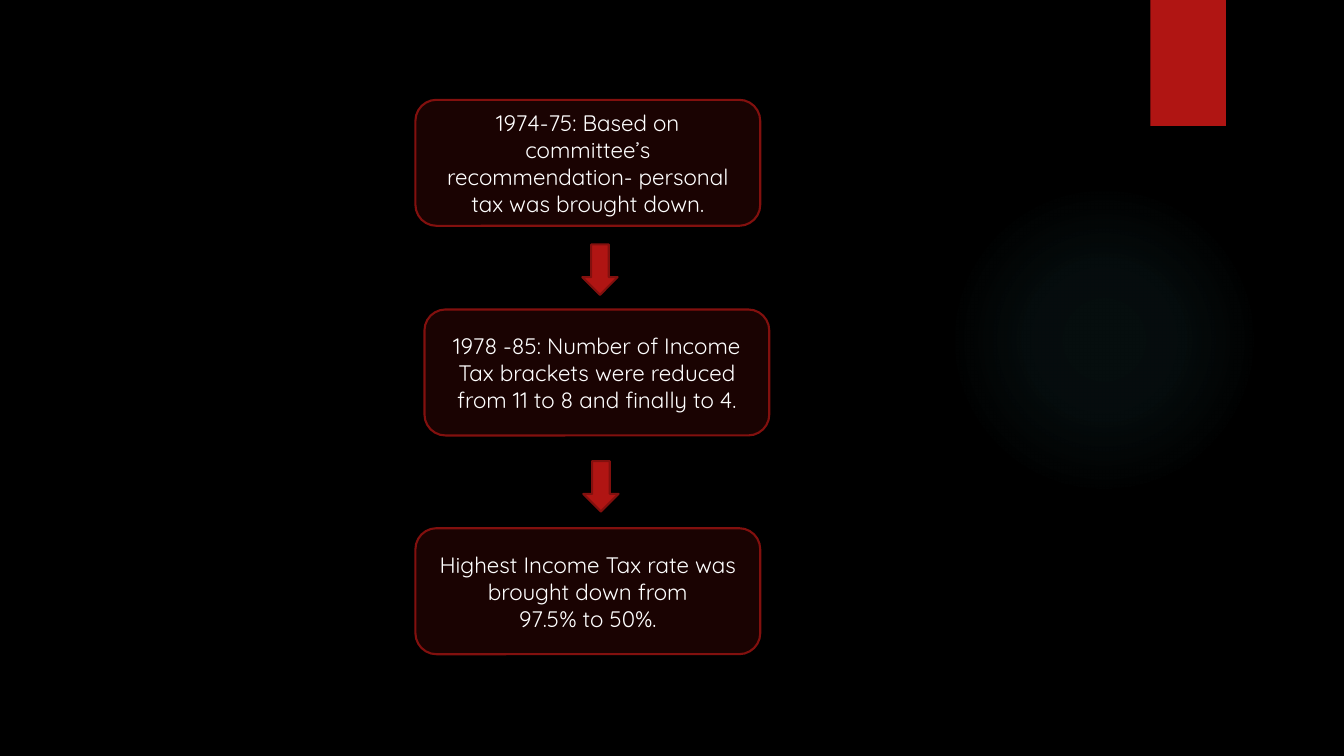
from dataclasses import dataclass

from lxml import etree
from pptx import Presentation
from pptx.dml.color import RGBColor
from pptx.enum.shapes import MSO_SHAPE
from pptx.enum.text import MSO_ANCHOR, PP_ALIGN
from pptx.oxml import parse_xml
from pptx.oxml.ns import nsdecls, qn
from pptx.util import Inches, Pt

ELLIPSE = MSO_SHAPE.OVAL
RECTANGLE = MSO_SHAPE.RECTANGLE
ROUNDED = MSO_SHAPE.ROUNDED_RECTANGLE
ARROW = MSO_SHAPE.RIGHT_ARROW
MIDDLE = MSO_ANCHOR.MIDDLE
CENTER = PP_ALIGN.CENTER

COLOURS = {
    "background": "000000",
    "glow": "50B9C1",
    "red": "B01513",
    "outline": "82100E",
    "text": "FFFFFF",
}
BLANK_LAYOUT = 6
STEP_WIDTH, STEP_HEIGHT = 3.42, 1.25
ARROW_LENGTH, ARROW_BREADTH = 0.5, 0.35
STEP_OPACITY = 15
GLOW_STOPS = ((0, 7), (36, 6), (69, 0))
TEXT_FORMAT = {"name": "Quicksand", "size": Pt(16)}


@dataclass
class Step:
    left: float
    top: float
    lines: tuple[str, ...]


@dataclass
class Arrow:
    left: float
    top: float


STEPS = (
    Step(4.12, 0.99, (
        "1974-75: Based on committee’s recommendation- personal tax was brought down.",
    )),
    Step(4.21, 3.07, (
        "1978 -85: Number of Income Tax brackets were reduced from 11 to 8 and finally to 4.",
    )),
    Step(4.12, 5.24, (
        "Highest Income Tax rate was brought down from",
        "97.5% to 50%.",
    )),
)
ARROWS = (Arrow(5.7, 2.5), Arrow(5.71, 4.65))


def colour(name: str) -> RGBColor:
    return RGBColor.from_string(COLOURS[name])


def add_red_shape(slide, kind, left: float, top: float, width: float,
                  height: float, outlined: bool = True):
    shape = slide.shapes.add_shape(
        kind, Inches(left), Inches(top), Inches(width), Inches(height))
    shape.shadow.inherit = False
    shape.fill.solid()
    shape.fill.fore_color.rgb = colour("red")
    if outlined:
        shape.line.color.rgb = colour("outline")
        shape.line.width = Pt(1.5)
    else:
        shape.line.fill.background()
    return shape


def add_glow(slide) -> None:
    glow = add_red_shape(slide, ELLIPSE, 9.41, 1.83, 3.08, 3.08, outlined=False)
    stops = "".join(
        f'<a:gs pos="{position * 1000}"><a:srgbClr val="{COLOURS["glow"]}">'
        f'<a:alpha val="{opacity * 1000}"/></a:srgbClr></a:gs>'
        for position, opacity in GLOW_STOPS)
    gradient = parse_xml(
        f'<a:gradFill {nsdecls("a")}><a:gsLst>{stops}</a:gsLst>'
        '<a:path path="circle"><a:fillToRect l="50000" t="50000" r="50000" b="50000"/>'
        '</a:path></a:gradFill>')
    properties = glow._element.spPr
    properties.replace(properties.find(qn("a:solidFill")), gradient)


def add_step(slide, step: Step) -> None:
    box = add_red_shape(slide, ROUNDED, step.left, step.top, STEP_WIDTH, STEP_HEIGHT)
    fill_colour = box._element.spPr.find(qn("a:solidFill"))[0]
    etree.SubElement(fill_colour, qn("a:alpha"), val=str(STEP_OPACITY * 1000))
    frame = box.text_frame
    frame.word_wrap = True
    frame.vertical_anchor = MIDDLE
    for index, line in enumerate(step.lines):
        para = frame.add_paragraph() if index else frame.paragraphs[0]
        para.alignment = CENTER
        span = para.add_run()
        span.text = line
        for attribute, value in TEXT_FORMAT.items():
            setattr(span.font, attribute, value)
        span.font.color.rgb = colour("text")


def add_arrow(slide, arrow: Arrow) -> None:
    shape = add_red_shape(
        slide, ARROW, arrow.left, arrow.top, ARROW_LENGTH, ARROW_BREADTH)
    shape.rotation = 90


def main() -> None:
    deck = Presentation()
    deck.slide_width, deck.slide_height = Inches(13.33), Inches(7.5)
    page = deck.slides.add_slide(deck.slide_layouts[BLANK_LAYOUT])
    page.background.fill.solid()
    page.background.fill.fore_color.rgb = colour("background")
    add_glow(page)
    add_red_shape(page, RECTANGLE, 11.41, 0, 0.75, 1.25, outlined=False)
    for step in STEPS:
        add_step(page, step)
    for arrow in ARROWS:
        add_arrow(page, arrow)
    deck.save("out.pptx")


if __name__ == "__main__":
    main()
